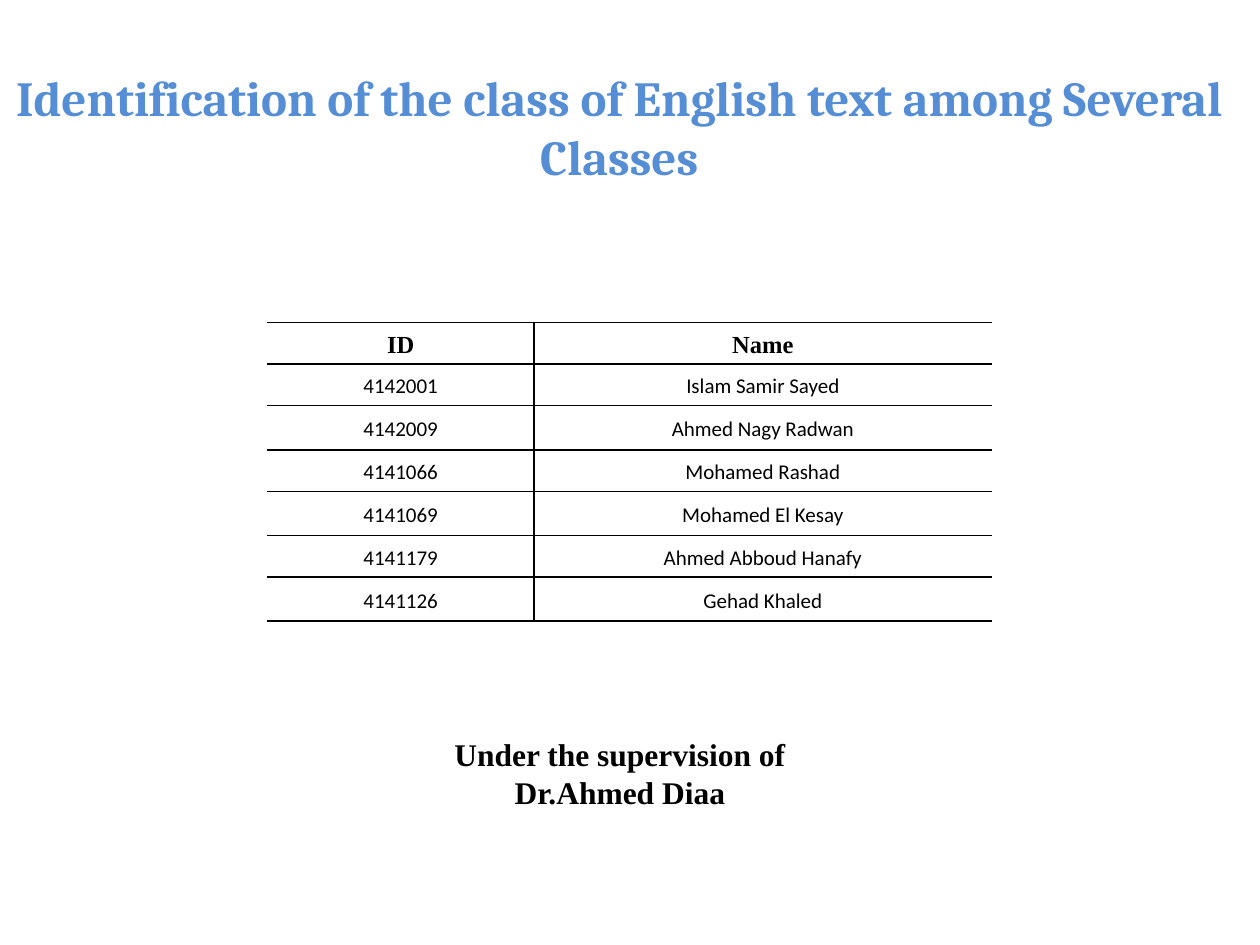
from typing import NamedTuple

from lxml.etree import SubElement
from pptx import Presentation
from pptx.dml.color import RGBColor
from pptx.enum.text import MSO_ANCHOR as Anchor, MSO_AUTO_SIZE as AutoSize, PP_ALIGN as Align
from pptx.oxml.ns import qn
from pptx.util import Inches, Pt

COLORS = {"title": "558ED5", "ink": "000000"}
COLUMN_WIDTHS = (2.12, 3.63)
ROW_HEIGHTS = (0.33, 0.33, 0.35, 0.33, 0.35, 0.33, 0.35)


class Student(NamedTuple):
    number: str
    name: str


STUDENTS = [
    Student("4142001", "Islam Samir Sayed"),
    Student("4142009", "Ahmed Nagy Radwan"),
    Student("4141066", "Mohamed Rashad"),
    Student("4141069", "Mohamed El Kesay"),
    Student("4141179", "Ahmed Abboud Hanafy"),
    Student("4141126", "Gehad Khaled"),
]


def write(frame, text: str, *, font: str, size: float, color: str = "ink",
          bold: bool = False, line_spacing: float = 1.0) -> None:
    """Fill a text frame with centred text, one paragraph per line."""
    frame.text = text
    for para in frame.paragraphs:
        para.alignment = Align.CENTER
        para.line_spacing = line_spacing
        para.space_before = Pt(0)
        for span in para.runs:
            span.font.name = font
            span.font.size = Pt(size)
            span.font.bold = bold
            span.font.color.rgb = RGBColor.from_string(COLORS[color])


def place(box, left: float, top: float, width: float, height: float) -> None:
    box.left, box.top = Inches(left), Inches(top)
    box.width, box.height = Inches(width), Inches(height)
    frame = box.text_frame
    frame.word_wrap = True
    frame.auto_size = AutoSize.NONE
    frame.vertical_anchor = Anchor.MIDDLE


def set_borders(cell, visible: str) -> None:
    """Draw the sides named in visible (of L, R, T, B) and clear the others."""
    properties = cell._tc.get_or_add_tcPr()
    for side in "LRTB":
        line = SubElement(properties, qn(f"a:ln{side}"), w=str(Pt(1)))
        if side in visible:
            fill = SubElement(line, qn("a:solidFill"))
            SubElement(fill, qn("a:srgbClr"), val=COLORS["ink"])
        else:
            SubElement(line, qn("a:noFill"))


def add_student_table(page, left: float, top: float) -> None:
    rows = [Student("ID", "Name"), *STUDENTS]
    table = page.shapes.add_table(
        len(rows), len(COLUMN_WIDTHS), Inches(left), Inches(top),
        Inches(sum(COLUMN_WIDTHS)), Inches(sum(ROW_HEIGHTS))).table
    table.horz_banding = False
    for column, width in zip(table.columns, COLUMN_WIDTHS):
        column.width = Inches(width)
    for index, (row, height, student) in enumerate(zip(table.rows, ROW_HEIGHTS, rows)):
        row.height = Inches(height)
        header = index == 0
        for cell, text, sides in zip(row.cells, student, ("RTB", "LTB")):
            cell.vertical_anchor = Anchor.MIDDLE
            cell.margin_left = cell.margin_right = Inches(0.07)
            cell.margin_top = cell.margin_bottom = 0
            set_borders(cell, sides)
            cell.fill.background()
            write(cell.text_frame, text, bold=header, line_spacing=1.15,
                  font="Times New Roman" if header else "Calibri",
                  size=14 if header else 12)


def main() -> None:
    deck = Presentation()
    deck.slide_width, deck.slide_height = Inches(10), Inches(7.5)
    page = deck.slides.add_slide(deck.slide_layouts[0])

    title, supervision = page.placeholders
    place(title, 0, 0, 9.83, 2)
    write(title.text_frame,
          "Identification of the class of English text among Several Classes",
          font="Cambria", size=28, color="title", bold=True)

    add_student_table(page, 2.12, 2.56)

    place(supervision, 0.67, 5.33, 8.5, 1.61)
    write(supervision.text_frame, "Under the supervision of\nDr.Ahmed Diaa",
          font="Times New Roman", size=18, bold=True)

    deck.save("out.pptx")


if __name__ == "__main__":
    main()
